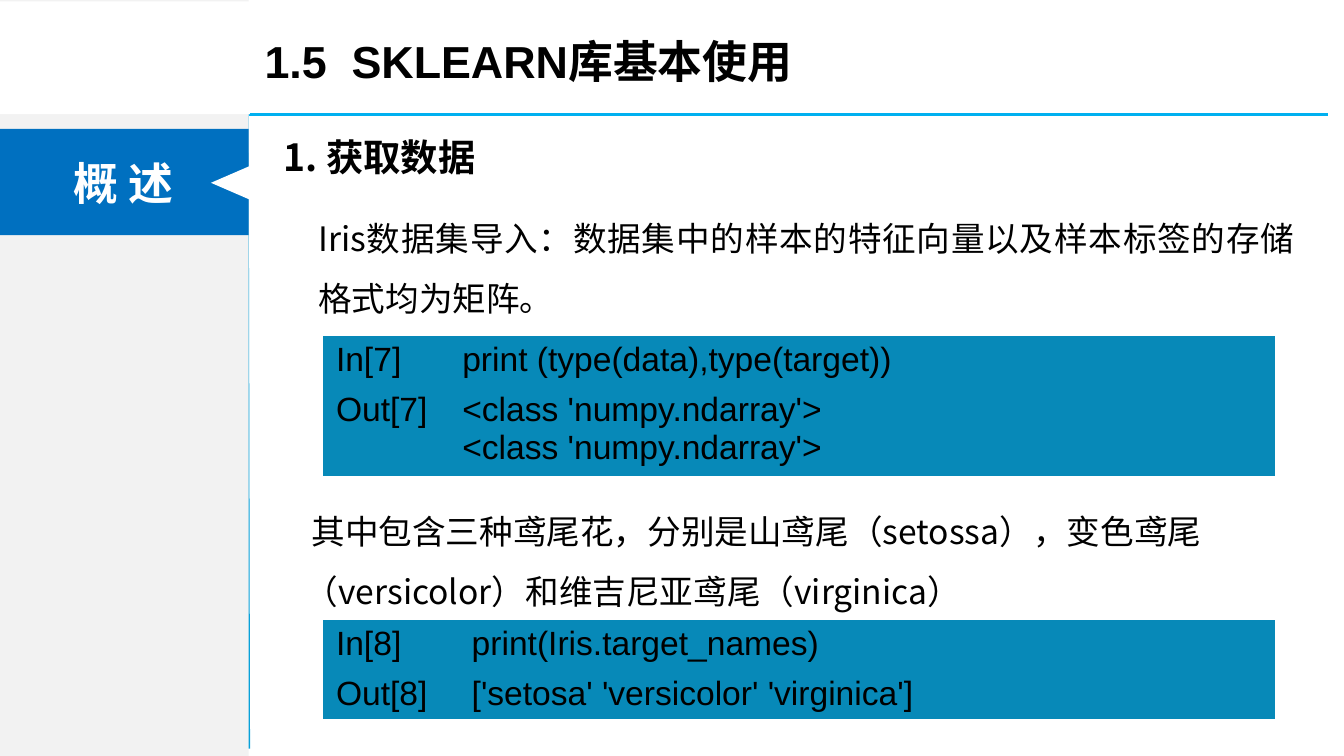
from lxml import etree
from pptx import Presentation
from pptx.dml.color import RGBColor
from pptx.enum.shapes import MSO_CONNECTOR, MSO_SHAPE
from pptx.enum.text import MSO_ANCHOR, PP_ALIGN
from pptx.oxml.ns import qn
from pptx.util import Inches, Pt

LINE = MSO_CONNECTOR.STRAIGHT
RECT, WEDGE = MSO_SHAPE.RECTANGLE, MSO_SHAPE.ISOSCELES_TRIANGLE
TOP, MIDDLE = MSO_ANCHOR.TOP, MSO_ANCHOR.MIDDLE
LEFT, CENTER, JUSTIFY = PP_ALIGN.LEFT, PP_ALIGN.CENTER, PP_ALIGN.JUSTIFY
PLAIN = "{2D5ABB26-0587-4C30-8999-92F81FD0307C}"

THEME = {
    "ink": "000000", "paper": "FFFFFF", "side": "F2F2F2", "tab": "0070C0",
    "rule": "00B0F0", "edge": "08A1D9", "code": "0789B8",
    "latin": "Arial", "han": "Noto Sans CJK SC",
    "title": 24, "head": 20, "body": 18,
}

WIDE = 10
HIGH = WIDE * 9 / 16
RULES = [
    ((1.84, 0.85, 1.85, 5.57), "edge"),
    ((1.85, 0.85, 9.88, 0.85), "rule"),
]
TAB = "概 述"
TEXTS = [
    ((2.01, 1.42, 7.72, 1.16),
     "Iris数据集导入：数据集中的样本的特征向量以及样本标签的存储格式均为矩阵。",
     {"align": JUSTIFY, "margin": 0.26, "space": 1.5}),
    ((1.87, 0, 8.16, 0.84), "1.5  SKLEARN库基本使用",
     {"size": "title", "face": "latin", "bold": True, "space": 1.5}),
    ((1.95, 0.95, 7.85, 0.52), "1. 获取数据",
     {"size": "head", "bold": True, "indent": 0.06}),
    ((2.17, 3.6, 7.4, 0.96),
     "其中包含三种鸢尾花，分别是山鸢尾（setossa），变色鸢尾（versicolor）和维吉尼亚鸢尾（virginica）",
     {"space": 1.5, "indent": 0.05}),
]
TABLES = [
    (2.5, 1.05, 0.94, [
        ("In[7]", "print (type(data),type(target))"),
        ("Out[7]", "<class 'numpy.ndarray'>\n<class 'numpy.ndarray'>"),
    ]),
    (4.61, 0.75, 1.01, [
        ("In[8]", "print(Iris.target_names)"),
        ("Out[8]", "['setosa' 'versicolor' 'virginica']"),
    ]),
]
TABLE_LEFT, TABLE_WIDTH = 2.4, 7.09
ROW, EXTRA = 0.3, 0.23


def tint(name):
    return RGBColor.from_string(THEME[name])


def write(frame, text, size="body", face="han", color="ink", bold=False,
          align=LEFT, anchor=TOP, space=1.0, margin=0, indent=0):
    frame.word_wrap = True
    frame.vertical_anchor = anchor
    for i, line in enumerate(text.split("\n")):
        para = frame.add_paragraph() if i else frame.paragraphs[0]
        para.alignment = align
        para.line_spacing = space
        props = para._p.get_or_add_pPr()
        props.set("marL", str(Inches(margin)))
        props.set("indent", str(Inches(indent)))
        run = para.add_run()
        run.text = line
        font = run.font
        font.size = Pt(THEME[size])
        font.bold = bold
        font.color.rgb = tint(color)
        font.name = THEME[face]
        east = etree.SubElement(run._r.get_or_add_rPr(), qn("a:ea"))
        east.set("typeface", THEME["han"])


def block(slide, kind, box, color):
    shape = slide.shapes.add_shape(kind, *map(Inches, box))
    shape.shadow.inherit = False
    shape.fill.solid()
    shape.fill.fore_color.rgb = tint(color)
    shape.line.fill.background()
    return shape


def rule(slide, ends, color):
    line = slide.shapes.add_connector(LINE, *map(Inches, ends))
    line.line.color.rgb = tint(color)
    line.line.width = Pt(1.5)
    etree.SubElement(line._element.spPr, qn("a:effectLst"))


def grid(slide, top, high, first, rows):
    box = (TABLE_LEFT, top, TABLE_WIDTH, high)
    frame = slide.shapes.add_table(len(rows), 2, *map(Inches, box))
    table = frame.table
    table.first_row = table.horz_banding = False
    table._tbl.tblPr.find(qn("a:tableStyleId")).text = PLAIN
    for col, width in zip(table.columns, (first, TABLE_WIDTH - first)):
        col.width = Inches(width)
    for r, row in enumerate(rows):
        table.rows[r].height = Inches(ROW + EXTRA * row[1].count("\n"))
        for c, text in enumerate(row):
            cell = table.cell(r, c)
            cell.fill.solid()
            cell.fill.fore_color.rgb = tint("code")
            cell.margin_left = cell.margin_right = Inches(0.1)
            cell.margin_top, cell.margin_bottom = Inches(0.04), Inches(0.03)
            write(cell.text_frame, text, face="latin")
    frame.height = Inches(high)


def main():
    deck = Presentation()
    deck.slide_width, deck.slide_height = Inches(WIDE), Inches(HIGH)
    slide = deck.slides.add_slide(deck.slide_layouts[6])
    rule(slide, *RULES[0])
    block(slide, RECT, (0, 0, 1.85, HIGH), "side")
    rule(slide, *RULES[1])
    block(slide, RECT, (0, 0.01, 1.86, 0.84), "paper")
    tab = block(slide, RECT, (-0.01, 0.96, 1.86, 0.79), "tab")
    write(tab.text_frame, TAB, size="title", color="paper", bold=True,
          align=CENTER, anchor=MIDDLE)
    wedge = block(slide, WEDGE, (1.59, 1.21, 0.26, 0.3), "paper")
    wedge.rotation = 270
    for box, text, style in TEXTS:
        area = slide.shapes.add_textbox(*map(Inches, box))
        write(area.text_frame, text, **style)
    for table in TABLES:
        grid(slide, *table)
    deck.save("out.pptx")


if __name__ == "__main__":
    main()
